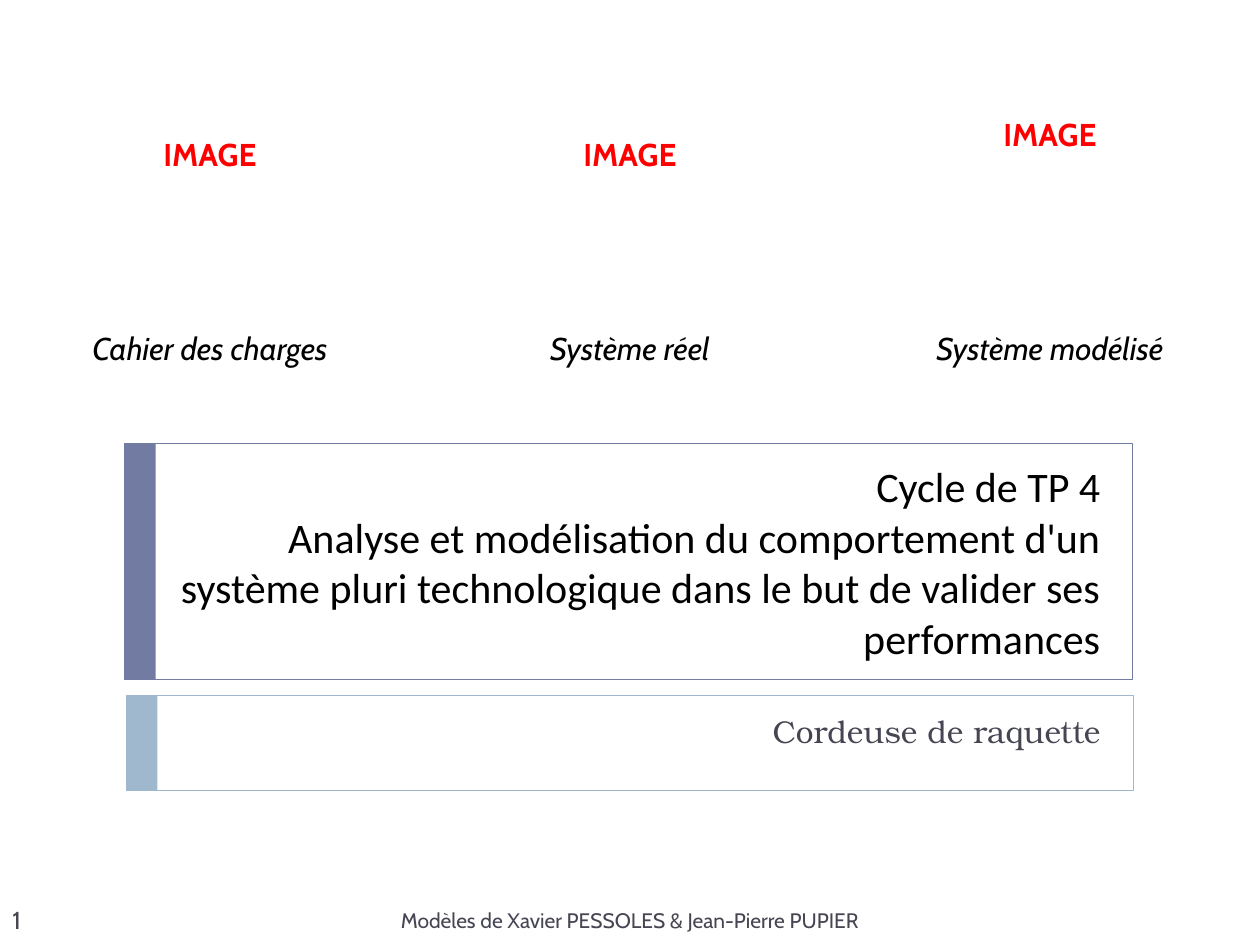
from pptx import Presentation
from pptx.util import Pt
from pptx.dml.color import RGBColor as RGB
from pptx.enum.shapes import MSO_SHAPE as SHAPE
from pptx.enum.text import PP_ALIGN as ALIGN, MSO_ANCHOR as ANCHOR

INDIGO = RGB(0x72, 0x7C, 0xA3)
SKY = RGB(0x9F, 0xB8, 0xCD)
SLATE = RGB(0x46, 0x46, 0x53)
RED = RGB(0xFF, 0, 0)
BLACK = RGB(0, 0, 0)
WIDE, HIGH = 720, 540


def style(frame, font, size, color, align, anchor, bold=False, italic=False):
    frame.word_wrap = True
    frame.vertical_anchor = anchor
    for para in frame.paragraphs:
        para.alignment = align
        for run in para.runs:
            face = run.font
            face.name, face.size = font, Pt(size)
            face.bold, face.italic = bold, italic
            face.color.rgb = color


def place(shape, x, y, w, h):
    shape.left, shape.top = Pt(x), Pt(y)
    shape.width, shape.height = Pt(w), Pt(h)


def panel(slide, x, y, w, h, color):
    """Outlined box with a solid band at its left edge."""
    for width, solid in ((w, False), (18, True)):
        rect = slide.shapes.add_shape(SHAPE.RECTANGLE, Pt(x), Pt(y), Pt(width), Pt(h))
        rect.shadow.inherit = False
        if solid:
            rect.fill.solid()
            rect.fill.fore_color.rgb = color
            rect.line.fill.background()
        else:
            rect.fill.background()
            rect.line.color.rgb = color
            rect.line.width = Pt(0.5)


def heading(holder, text, x, y, w, h, font, size, color, anchor):
    place(holder, x, y, w, h)
    holder.text_frame.text = text
    style(holder.text_frame, font, size, color, ALIGN.RIGHT, anchor)


def note(slide, text, x, y, w, h, size, align):
    box = slide.shapes.add_textbox(Pt(x), Pt(y), Pt(w), Pt(h))
    box.text_frame.text = text
    style(box.text_frame, "Cabin", size, SLATE, align, ANCHOR.MIDDLE)


def gallery(slide, x, y, w, names):
    """Row of image slots above their captions."""
    heights = (177, 37)
    grid = slide.shapes.add_table(2, len(names), Pt(x), Pt(y), Pt(w), Pt(sum(heights))).table
    for row, height in zip(grid.rows, heights):
        row.height = Pt(height)
    for col, name in enumerate(names):
        slot, label = grid.cell(0, col), grid.cell(1, col)
        slot.text, label.text = "IMAGE", name
        for cell in (slot, label):
            cell.fill.background()
        style(slot.text_frame, "Cabin", 18, RED, ALIGN.CENTER, ANCHOR.MIDDLE, bold=True)
        style(label.text_frame, "Cabin", 18, BLACK, ALIGN.CENTER, ANCHOR.BOTTOM, italic=True)
        slot.vertical_anchor, label.vertical_anchor = ANCHOR.MIDDLE, ANCHOR.BOTTOM
    # The last slot sits a little higher
    slot.margin_bottom = Pt(26)


def cover(deck):
    slide = deck.slides.add_slide(deck.slide_layouts[0])
    # Panels
    panel(slide, 71, 253.5, 576, 135, INDIGO)
    panel(slide, 72, 397.5, 576, 54, SKY)
    # Title and subtitle
    heading(slide.shapes.title,
            "Cycle de TP 4\vAnalyse et modélisation du comportement d'un système "
            "pluri technologique dans le but de valider ses performances",
            96, 258.5, 540, 125, "Calibri", 24, BLACK, ANCHOR.MIDDLE)
    sub = slide.placeholders[1]
    heading(sub, "Cordeuse de raquette", 96, 403, 540, 42,
            "TeX Gyre Bonum", 18, SLATE, ANCHOR.TOP)
    sub.text_frame.paragraphs[0].space_before = Pt(6)
    # Footer
    note(slide, "1", 0, 511, 96, 29, 14, ALIGN.LEFT)
    note(slide, "Modèles de Xavier PESSOLES & Jean-Pierre PUPIER",
         0, 511, WIDE, 29, 12, ALIGN.CENTER)
    # Image slots
    gallery(slide, 0, 0, WIDE, ("Cahier des charges", "Système réel", "Système modélisé"))


deck = Presentation()
deck.slide_width, deck.slide_height = Pt(WIDE), Pt(HIGH)
cover(deck)
deck.save("out.pptx")
